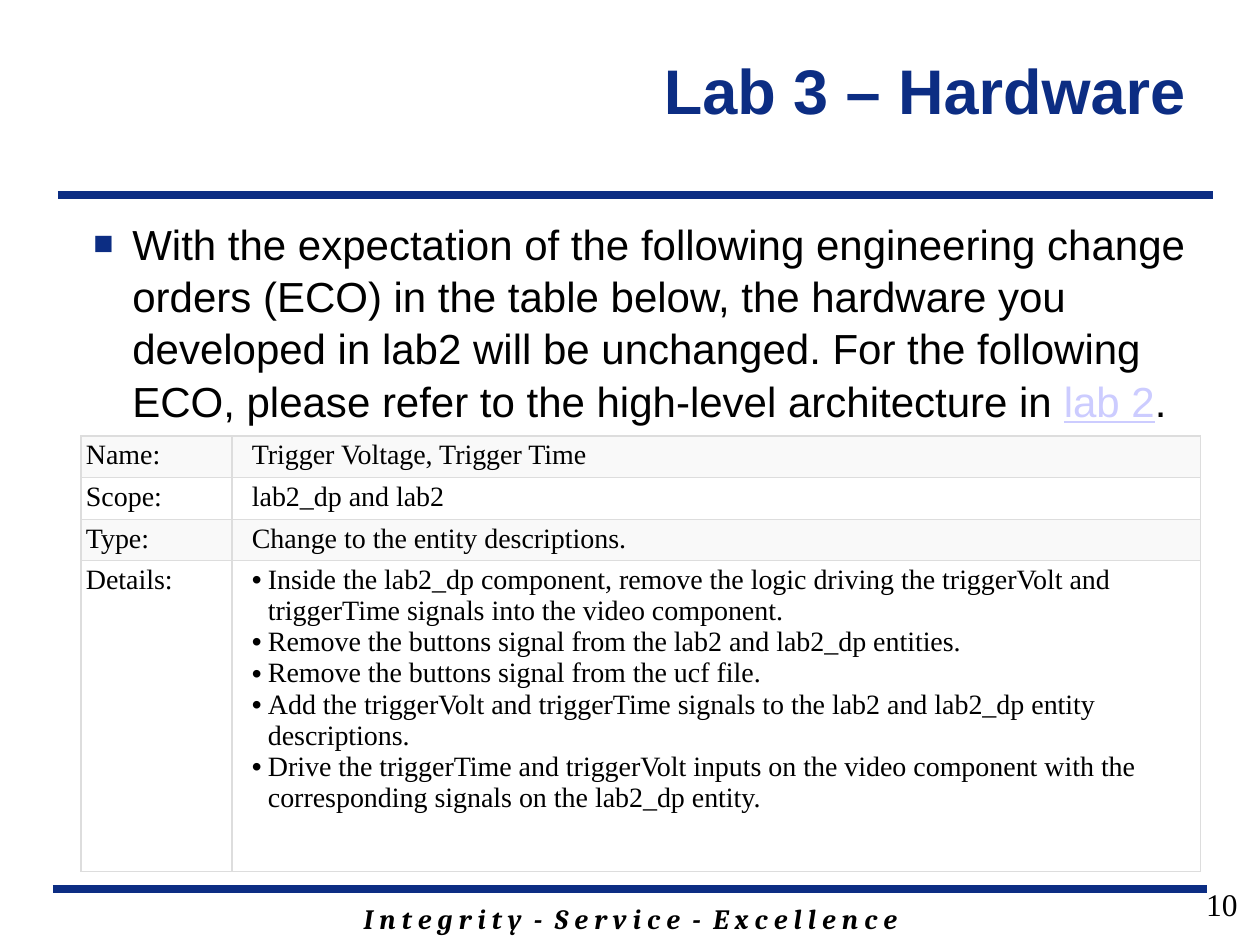
from lxml import etree
from pptx import Presentation
from pptx import util as u
from pptx.dml import color
from pptx.enum import shapes, text
from pptx.oxml import ns

COLORS = {"navy": "0C2D83", "black": "000000", "link": "CCCCFF",
          "border": "DDDDDD", "band": "F9F9F9", "white": "FFFFFF"}
SCALE = 914400 / 126
DETAILS = [
    "Inside the lab2_dp component, remove the logic driving the triggerVolt and triggerTime signals into the video component.",
    "Remove the buttons signal from the lab2 and lab2_dp entities.",
    "Remove the buttons signal from the ucf file.",
    "Add the triggerVolt and triggerTime signals to the lab2 and lab2_dp entity descriptions.",
    "Drive the triggerTime and triggerVolt inputs on the video component with the corresponding signals on the lab2_dp entity.",
]
CHANGE_ORDER = [
    ("Name:", ["Trigger Voltage, Trigger Time"]),
    ("Scope:", ["lab2_dp and lab2"]),
    ("Type:", ["Change to the entity descriptions."]),
    ("Details:", DETAILS),
]


def px(value):
    return u.Emu(round(value * SCALE))


def rgb(name):
    return color.RGBColor.from_string(COLORS[name])


def add_element(parent, tag, **attributes):
    return etree.SubElement(parent, ns.qn(tag), attributes)


def indent(paragraph, left, hanging=0, bullet=None, bullet_color="black", bullet_size=100):
    properties = paragraph._p.get_or_add_pPr()
    properties.set("marL", str(px(left)))
    properties.set("indent", str(px(-hanging)))
    if bullet:
        fill = add_element(properties, "a:buClr")
        add_element(fill, "a:srgbClr", val=COLORS[bullet_color])
        add_element(properties, "a:buSzPct", val=str(bullet_size * 1000))
        add_element(properties, "a:buFont", typeface="Arial")
        add_element(properties, "a:buChar", char=bullet)


def add_run(paragraph, content, font="Arial", size=24, ink="black",
            bold=False, italic=False, underline=False):
    run = paragraph.add_run()
    run.text = content
    run.font.name, run.font.size = font, u.Pt(size)
    run.font.bold, run.font.italic, run.font.underline = bold, italic, underline
    run.font.color.rgb = rgb(ink)


class SlideBuilder:
    """Holds the slide style and adds each kind of element to the current slide."""

    def __init__(self, slide):
        self.slide = slide
        self.cell_style = {"font": "Times New Roman", "size": 16}

    def rule(self, left, top, right):
        line = self.slide.shapes.add_connector(
            shapes.MSO_CONNECTOR.STRAIGHT, px(left), px(top), px(right), px(top))
        line.line.color.rgb = rgb("navy")
        line.line.width = u.Pt(4.5)
        add_element(line._element.spPr, "a:effectLst")

    def text_box(self, box, align="LEFT", anchor="TOP"):
        frame = self.slide.shapes.add_textbox(*map(px, box)).text_frame
        frame.word_wrap = True
        frame.vertical_anchor = text.MSO_ANCHOR[anchor]
        paragraph = frame.paragraphs[0]
        paragraph.alignment = text.PP_ALIGN[align]
        return paragraph

    def label(self, content, box, align, anchor="TOP", **style):
        add_run(self.text_box(box, align, anchor), content, **style)

    def bullet(self, runs, box):
        paragraph = self.text_box(box)
        indent(paragraph, 39, 39, "■", "navy", 80)
        paragraph.line_spacing = 1.04
        for content, style in runs:
            add_run(paragraph, content, **style)

    def cell(self, cell, lines, fill, left=0):
        cell.fill.solid()
        cell.fill.fore_color.rgb = rgb(fill)
        cell.margin_left = cell.margin_right = px(5)
        cell.margin_top = cell.margin_bottom = px(4)
        frame = cell.text_frame
        for index, line in enumerate(lines):
            paragraph = frame.add_paragraph() if index else frame.paragraphs[0]
            if len(lines) > 1:
                indent(paragraph, left + 16, 16, "•")
            else:
                indent(paragraph, left)
            add_run(paragraph, line, **self.cell_style)
        properties = cell._tc.get_or_add_tcPr()
        for position, side in enumerate(("L", "R", "T", "B")):
            border = etree.Element(ns.qn(f"a:ln{side}"), w=str(u.Pt(0.75)))
            solid = add_element(border, "a:solidFill")
            add_element(solid, "a:srgbClr", val=COLORS["border"])
            properties.insert(position, border)

    def table(self, rows, left, top, widths, heights):
        table = self.slide.shapes.add_table(
            len(rows), len(widths), px(left), px(top), px(sum(widths)), px(sum(heights))).table
        for column, width in zip(table.columns, widths):
            column.width = px(width)
        for index, (name, lines) in enumerate(rows):
            table.rows[index].height = px(heights[index])
            fill = "white" if index % 2 else "band"
            self.cell(table.cell(index, 0), [name], fill)
            self.cell(table.cell(index, 1), lines, fill, left=15)


def main():
    presentation = Presentation()
    presentation.slide_width, presentation.slide_height = px(1260), px(945)
    builder = SlideBuilder(presentation.slides.add_slide(presentation.slide_layouts[6]))
    builder.rule(53, 889, 1207)
    builder.rule(58, 195, 1213)
    builder.label("I n t e g r i t y  -  S e r v i c e  -  E x c e l l e n c e", (179, 895, 903, 47),
                  "CENTER", font="Cambria", size=16, bold=True, italic=True)
    builder.label("Lab 3 – Hardware", (263, 10, 935, 158), "RIGHT", "MIDDLE",
                  size=36, ink="navy", bold=True)
    builder.bullet([
        ("With the expectation of the following engineering change orders (ECO) in the table below, "
         "the hardware you developed in lab2 will be unchanged. For the following ECO, please refer "
         "to the high-level architecture in ", {}),
        ("lab 2", {"ink": "link", "underline": True}),
        (".", {}),
    ], (81, 210, 1120, 596))
    builder.table(CHANGE_ORDER, 81, 436, (151, 969), (39, 39, 39, 311))
    builder.label("10", (956, 879, 294, 66), "RIGHT", font="Times New Roman", size=18)
    presentation.save("out.pptx")


if __name__ == "__main__":
    main()
